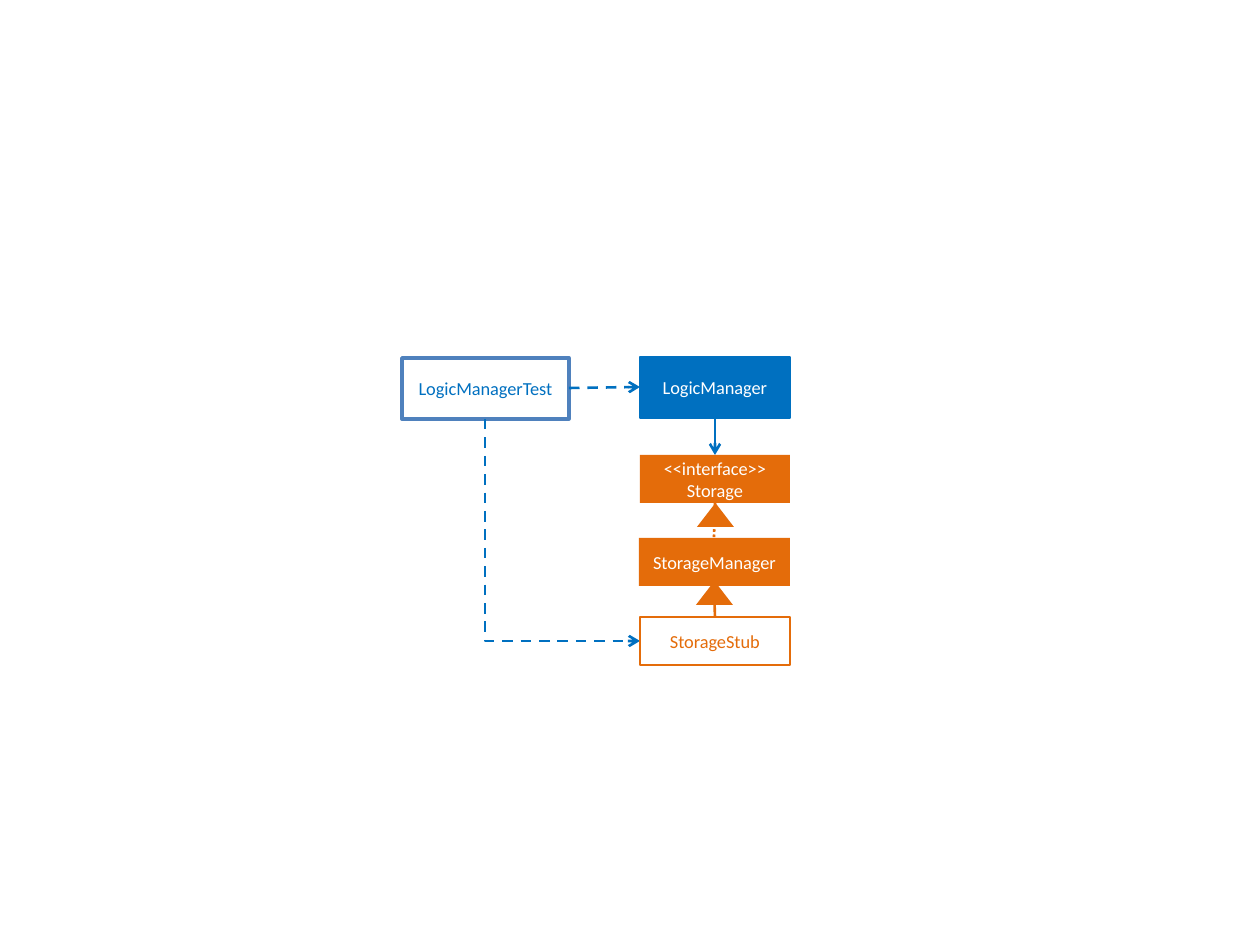
from dataclasses import dataclass
from lxml.etree import SubElement
from pptx import Presentation
from pptx.dml.color import RGBColor
from pptx.enum.dml import MSO_LINE
from pptx.enum.shapes import MSO_CONNECTOR, MSO_SHAPE
from pptx.enum.text import MSO_ANCHOR, PP_ALIGN
from pptx.oxml.ns import qn
from pptx.util import Pt

PX = 914400 // 126


@dataclass(frozen=True)
class Theme:
    blue: str = "0070C0"
    steel: str = "4F81BD"
    orange: str = "E46C0A"
    white: str = "FFFFFF"
    font: str = "Calibri"
    text: float = 10.5
    line: float = 1.5
    heavy: float = 2


def apply(obj, values):
    for name, value in values.items():
        setattr(obj, name, value)


class Diagram:
    def __init__(self, slide, theme):
        self.s, self.t = slide, theme

    def shape(self, kind, at, fill, line=None, weight=None):
        sp = self.s.shapes.add_shape(kind, *(v * PX for v in at))
        sp.shadow.inherit = False
        sp.fill.solid()
        sp.fill.fore_color.rgb = RGBColor.from_string(fill)
        if line:
            self.stroke(sp.line, line, weight)
        else:
            sp.line.fill.background()
        return sp

    def stroke(self, ln, color, weight=None, dash=None):
        ln.color.rgb = RGBColor.from_string(color)
        apply(ln, {"width": Pt(weight or self.t.line), "dash_style": dash})

    def box(self, at, label, fill, color, line=None, weight=None):
        tf = self.shape(MSO_SHAPE.RECTANGLE, at, fill, line, weight).text_frame
        apply(tf, {"word_wrap": True, "vertical_anchor": MSO_ANCHOR.MIDDLE})
        tf.text = label
        for p in tf.paragraphs:
            p.alignment = PP_ALIGN.CENTER
            apply(p.font, {"name": self.t.font, "size": Pt(self.t.text)})
            p.font.color.rgb = RGBColor.from_string(color)

    def triangle(self, at):
        self.shape(MSO_SHAPE.ISOSCELES_TRIANGLE, at, self.t.orange)

    def line(self, start, end, color, dash=None, arrow=False, kind=MSO_CONNECTOR.STRAIGHT):
        cx = self.s.shapes.add_connector(kind, *(v * PX for v in (*start, *end)))
        self.stroke(cx.line, color, dash=dash)
        if arrow:
            SubElement(cx.line._get_or_add_ln(), qn("a:tailEnd"), type="arrow")
        SubElement(cx._element.spPr, qn("a:effectLst"))
        return cx

    def elbow(self, start, end, color, dash):
        """Run down, then right: a single bend, turned a quarter and mirrored."""
        cx = self.line(start, end, color, dash, True, MSO_CONNECTOR.ELBOW)
        pr = cx._element.spPr
        pr.find(qn("a:prstGeom")).set("prst", "bentConnector2")
        apply(pr.find(qn("a:xfrm")), {"rot": 270, "flipH": True})
        w, h = cx.width, cx.height
        shift = (w - h) // 2
        apply(cx, {"left": cx.left + shift, "top": cx.top - shift, "width": h, "height": w})


prs = Presentation()
apply(prs, {"slide_width": 1260 * PX, "slide_height": 945 * PX})
t = Theme()
d = Diagram(prs.slides.add_slide(prs.slide_layouts[6]), t)

COL, W, H = 640, 150, 48
MID = COL + W // 2

# Logic classes
d.line((MID, 418), (MID, 455), t.blue, arrow=True)
d.box((COL, 357, W, 61), "LogicManager", t.blue, t.white, t.blue)
d.box((402, 358, 167, 61), "LogicManagerTest", t.white, t.blue, t.steel, t.heavy)

# Test dependencies
d.line((569, 388), (COL, 387), t.blue, MSO_LINE.DASH, True)
d.elbow((485, 419), (COL, 641), t.blue, MSO_LINE.DASH)

# Storage classes
d.box((COL, 455, W, H), "<<interface>>\nStorage", t.orange, t.white)
d.box((COL - 1, 538, W + 1, H), "StorageManager", t.orange, t.white)
d.box((COL, 617, W, H), "StorageStub", t.white, t.orange, t.orange)

# Inheritance
d.line((MID, 503), (MID - 1, 538), t.orange, MSO_LINE.ROUND_DOT)
d.triangle((MID - 18, 503, 37, 24))
d.line((MID - 1, 585), (MID, 617), t.orange)
d.triangle((MID - 19, 581, 37, 24))

prs.save("out.pptx")
